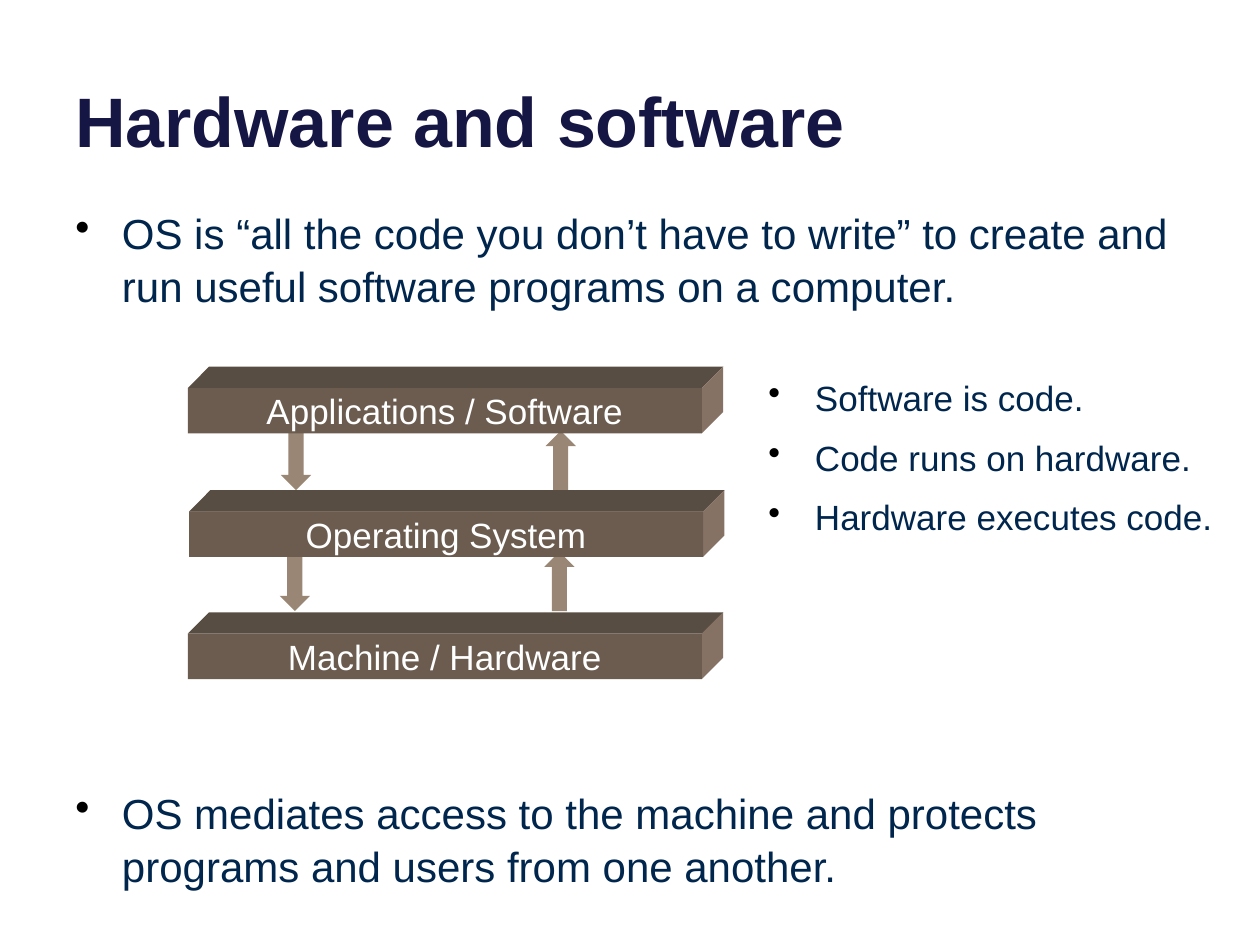
"""Build the slide on how hardware, the operating system and software relate."""
from dataclasses import dataclass

from lxml.etree import SubElement
from pptx import Presentation
from pptx.dml.color import RGBColor
from pptx.enum.shapes import MSO_SHAPE
from pptx.enum.text import MSO_ANCHOR, PP_ALIGN
from pptx.oxml.ns import qn
from pptx.util import Inches, Pt


@dataclass(frozen=True)
class Theme:
    font: str = "Arial"
    title: str = "161645"
    body: str = "00264D"
    bullet: str = "000000"
    label: str = "FFFFFF"
    front: str = "6B5C4F"
    top: str = "584D42"
    side: str = "867264"
    arrow: str = "998674"
    title_size: int = 40
    body_size: int = 24
    small_size: int = 20


def add_bullet(para, color):
    properties = para._p.get_or_add_pPr()
    properties.set("marL", str(Inches(0.37)))
    properties.set("indent", str(-Inches(0.37)))
    bullet_color = SubElement(properties, qn("a:buClr"))
    SubElement(bullet_color, qn("a:srgbClr")).set("val", color)
    SubElement(properties, qn("a:buChar")).set("char", "•")


def write(para, text, *, font, size, color, bold=False, align=PP_ALIGN.LEFT):
    para.alignment = align
    span = para.add_run()
    span.text = text
    span.font.name = font
    span.font.size = Pt(size)
    span.font.bold = bold
    span.font.color.rgb = RGBColor.from_string(color)


class SlideBuilder:
    def __init__(self, page, theme):
        self.page = page
        self.theme = theme

    def paint(self, shape, color):
        shape.shadow.inherit = False
        shape.fill.solid()
        shape.fill.fore_color.rgb = RGBColor.from_string(color)
        shape.line.fill.background()

    def frame(self, left, top, width, height):
        box = self.page.shapes.add_textbox(
            Inches(left), Inches(top), Inches(width), Inches(height))
        box.text_frame.word_wrap = True
        return box.text_frame

    def title(self, text, left, top, width, height):
        frame = self.frame(left, top, width, height)
        frame.vertical_anchor = MSO_ANCHOR.BOTTOM
        write(frame.paragraphs[0], text, font=self.theme.font,
              size=self.theme.title_size, color=self.theme.title, bold=True)

    def bullets(self, lines, left, top, width, height, size):
        frame = self.frame(left, top, width, height)
        for index, line in enumerate(lines):
            para = frame.add_paragraph() if index else frame.paragraphs[0]
            para.line_spacing = 1.05
            if index:
                para.space_before = Pt(9)
            add_bullet(para, self.theme.bullet)
            write(para, line, font=self.theme.font, size=size,
                  color=self.theme.body)

    def face(self, points, color):
        corners = [(Inches(x), Inches(y)) for x, y in points]
        builder = self.page.shapes.build_freeform(*corners[0])
        builder.add_line_segments(corners[1:], close=True)
        self.paint(builder.convert_to_shape(), color)

    def layer(self, text, left, top, width=4.08, height=0.36, depth=0.17):
        right, bottom = left + width, top + height
        back = (right + depth, top - depth)
        self.face([(left, top), (left + depth, top - depth), back,
                   (right, top)], self.theme.top)
        self.face([(right, top), back, (right + depth, bottom - depth),
                   (right, bottom)], self.theme.side)
        bar = self.page.shapes.add_shape(
            MSO_SHAPE.RECTANGLE, Inches(left), Inches(top),
            Inches(width), Inches(height))
        self.paint(bar, self.theme.front)
        frame = bar.text_frame
        frame.word_wrap = False
        frame.vertical_anchor = MSO_ANCHOR.MIDDLE
        write(frame.paragraphs[0], text, font=self.theme.font,
              size=self.theme.small_size, color=self.theme.label,
              align=PP_ALIGN.CENTER)

    def arrow(self, kind, left, top):
        arrow = self.page.shapes.add_shape(
            kind, Inches(left), Inches(top), Inches(0.24), Inches(0.47))
        self.paint(arrow, self.theme.arrow)


def main():
    deck = Presentation()
    deck.slide_width, deck.slide_height = Inches(10), Inches(7.5)
    page = deck.slides.add_slide(deck.slide_layouts[6])
    theme = Theme()
    slide = SlideBuilder(page, theme)

    slide.title("Hardware and software", 0.5, 0.53, 9, 0.8)
    statements = [
        ("OS is “all the code you don’t have to write” to create and run "
         "useful software programs on a computer.", 1.58),
        ("OS mediates access to the machine and protects programs and users "
         "from one another.", 6.18),
    ]
    for text, top in statements:
        slide.bullets([text], 0.5, top, 9, 0.91, theme.body_size)

    for left, top in [(2.23, 3.42), (2.22, 4.38)]:
        slide.arrow(MSO_SHAPE.DOWN_ARROW, left, top)
        slide.arrow(MSO_SHAPE.UP_ARROW, left + 2.1, top)
    layers = [("Applications / Software", 1.49, 3.08),
              ("Operating System", 1.5, 4.06),
              ("Machine / Hardware", 1.49, 5.03)]
    for text, left, top in layers:
        slide.layer(text, left, top)

    slide.bullets(["Software is code.", "Code runs on hardware.",
                   "Hardware executes code."],
                  6, 2.92, 3.83, 1.33, theme.small_size)
    deck.save("out.pptx")


if __name__ == "__main__":
    main()
